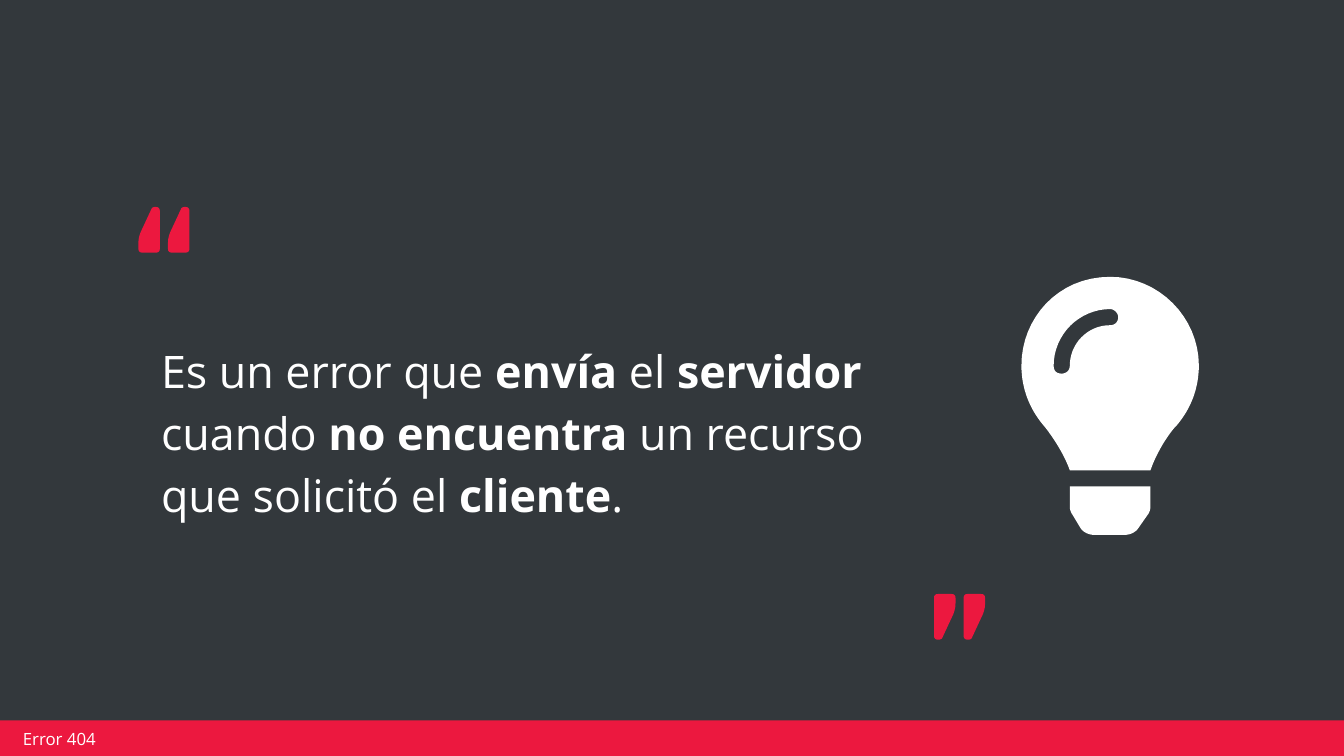
import dataclasses
import typing

import pptx
import pptx.dml.color
import pptx.enum.shapes
import pptx.enum.text
import pptx.util

Inches = pptx.util.Inches
Point = typing.Tuple[float, float]


@dataclasses.dataclass(frozen=True)
class Theme:
    """Colours, font and type sizes."""
    back: str = "33383C"
    red: str = "EC183F"
    white: str = "FFFFFF"
    font: str = "Open Sans"
    body: float = 24
    foot: float = 9


@dataclasses.dataclass(frozen=True)
class Quote:
    """One stroke of a quote mark; turn is -1 when it is upside down."""
    left: float
    top: float
    turn: int = 1


THEME = Theme()
QUOTES = [Quote(1.03, 1.54), Quote(1.25, 1.54),
          Quote(7.33, 4.76, -1), Quote(7.11, 4.76, -1)]

# Each step is an end point (line) or two controls and an end point (curve).
STROKE = [(0.13, 0), (0.12, 0, 0.11, 0, 0.1, 0.01), (0.03, 0.16),
          (0.01, 0.2, 0, 0.23, 0, 0.27), (0, 0.31),
          (0, 0.33, 0.01, 0.34, 0.03, 0.34), (0.13, 0.34),
          (0.15, 0.34, 0.16, 0.33, 0.16, 0.31), (0.16, 0.03),
          (0.16, 0.01, 0.15, 0, 0.13, 0)]
BASE = [(7.96, 3.77), (7.96, 3.79, 7.97, 3.82, 7.98, 3.83), (8.04, 3.93),
        (8.06, 3.96, 8.1, 3.98, 8.14, 3.98), (8.37, 3.98),
        (8.41, 3.98, 8.45, 3.96, 8.47, 3.93), (8.54, 3.83),
        (8.55, 3.82, 8.56, 3.79, 8.56, 3.77), (8.56, 3.62), (7.96, 3.62)]
GLASS = [(7.6, 2.72), (7.6, 2.89, 7.66, 3.04, 7.76, 3.16),
         (7.82, 3.23, 7.92, 3.38, 7.96, 3.5), (8.56, 3.5),
         (8.6, 3.38, 8.69, 3.23, 8.76, 3.16),
         (8.86, 3.04, 8.92, 2.89, 8.92, 2.72),
         (8.92, 2.36, 8.62, 2.06, 8.26, 2.06),
         (7.87, 2.06, 7.6, 2.37, 7.6, 2.72)]
SHINE = [(8.26, 2.42), (8.09, 2.42, 7.96, 2.56, 7.96, 2.72),
         (7.96, 2.76, 7.93, 2.78, 7.9, 2.78),
         (7.86, 2.78, 7.84, 2.76, 7.84, 2.72),
         (7.84, 2.49, 8.03, 2.3, 8.26, 2.3),
         (8.29, 2.3, 8.32, 2.33, 8.32, 2.36),
         (8.32, 2.4, 8.29, 2.42, 8.26, 2.42)]


def rgb(code: str) -> pptx.dml.color.RGBColor:
    """Turn a hex code into a colour."""
    return pptx.dml.color.RGBColor.from_string(code)


def paint(shape, color: str) -> None:
    """Give a shape a plain fill with no line or shadow."""
    shape.shadow.inherit = False
    shape.fill.solid()
    shape.fill.fore_color.rgb = rgb(color)
    shape.line.fill.background()


def trace(steps: list, count: int = 16) -> typing.List[Point]:
    """Turn lines and curves into a list of points."""
    points = [steps[0]]
    for step in steps[1:]:
        if len(step) == 2:
            points.append(step)
            continue
        nodes = [points[-1], step[:2], step[2:4], step[4:]]
        for i in range(1, count + 1):
            t = i / count
            parts = ((1 - t) ** 3, 3 * t * (1 - t) ** 2,
                     3 * t * t * (1 - t), t ** 3)
            points.append(tuple(sum(w * n[k] for w, n in zip(parts, nodes))
                                for k in (0, 1)))
    return points


def draw(slide, loops: typing.List[typing.List[Point]], color: str) -> None:
    """Draw closed loops as one filled shape."""
    loops = [[(Inches(x), Inches(y)) for x, y in loop] for loop in loops]
    pen = slide.shapes.build_freeform(*loops[0][0])
    for i, loop in enumerate(loops):
        if i:
            pen.move_to(*loop[0])
        pen.add_line_segments(loop[1:], close=True)
    paint(pen.convert_to_shape(), color)


def write(slide, text: str, *, box: tuple, size: float, inset: tuple,
          space: float = 1, before: float = 0) -> None:
    """Add a text box; words between stars are bold."""
    frame = slide.shapes.add_textbox(*map(Inches, box)).text_frame
    frame.word_wrap = True
    frame.vertical_anchor = pptx.enum.text.MSO_ANCHOR.MIDDLE
    frame.margin_left = frame.margin_right = Inches(inset[0])
    frame.margin_top = frame.margin_bottom = Inches(inset[1])
    para = frame.paragraphs[0]
    para.line_spacing = space
    para.space_before = pptx.util.Pt(before)
    for i, part in enumerate(text.split("*")):
        run = para.add_run()
        run.text = part
        run.font.name = THEME.font
        run.font.size = pptx.util.Pt(size)
        run.font.bold = i % 2 == 1
        run.font.color.rgb = rgb(THEME.white)


def main() -> None:
    """Build the slide and save it."""
    deck = pptx.Presentation()
    deck.slide_width = Inches(10)
    deck.slide_height = deck.slide_width * 9 // 16
    slide = deck.slides.add_slide(deck.slide_layouts[6])
    slide.background.fill.solid()
    slide.background.fill.fore_color.rgb = rgb(THEME.back)

    bar = slide.shapes.add_shape(
        pptx.enum.shapes.MSO_SHAPE.RECTANGLE,
        *map(Inches, (-0.02, 5.36, 10.03, 0.27)))
    paint(bar, THEME.red)
    write(slide, "Error 404", box=(0.12, 5.42, 2.39, 0.15),
          size=THEME.foot, inset=(0.05, 0.02))
    write(slide, "Es un error que *envía* el *servidor* cuando *no encuentra*"
          " un recurso que solicitó el *cliente*.",
          box=(1.1, 2.08, 6.05, 2.22), size=THEME.body,
          inset=(0.1, 0.05), space=1.15, before=6)

    draw(slide, [trace(part) for part in (BASE, GLASS, SHINE)], THEME.white)
    for mark in QUOTES:
        loop = [(mark.left + mark.turn * x, mark.top + mark.turn * y)
                for x, y in trace(STROKE, 4)]
        draw(slide, [loop], THEME.red)
    deck.save("out.pptx")


main()
